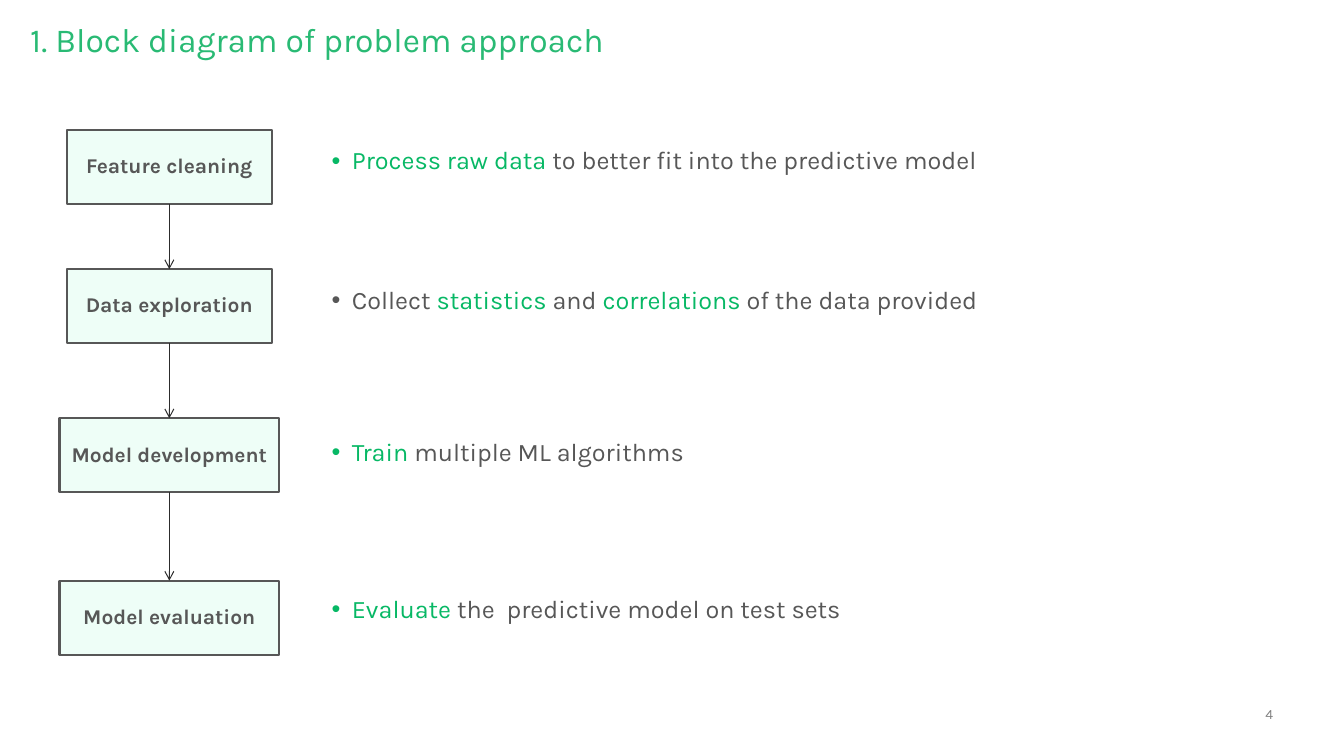
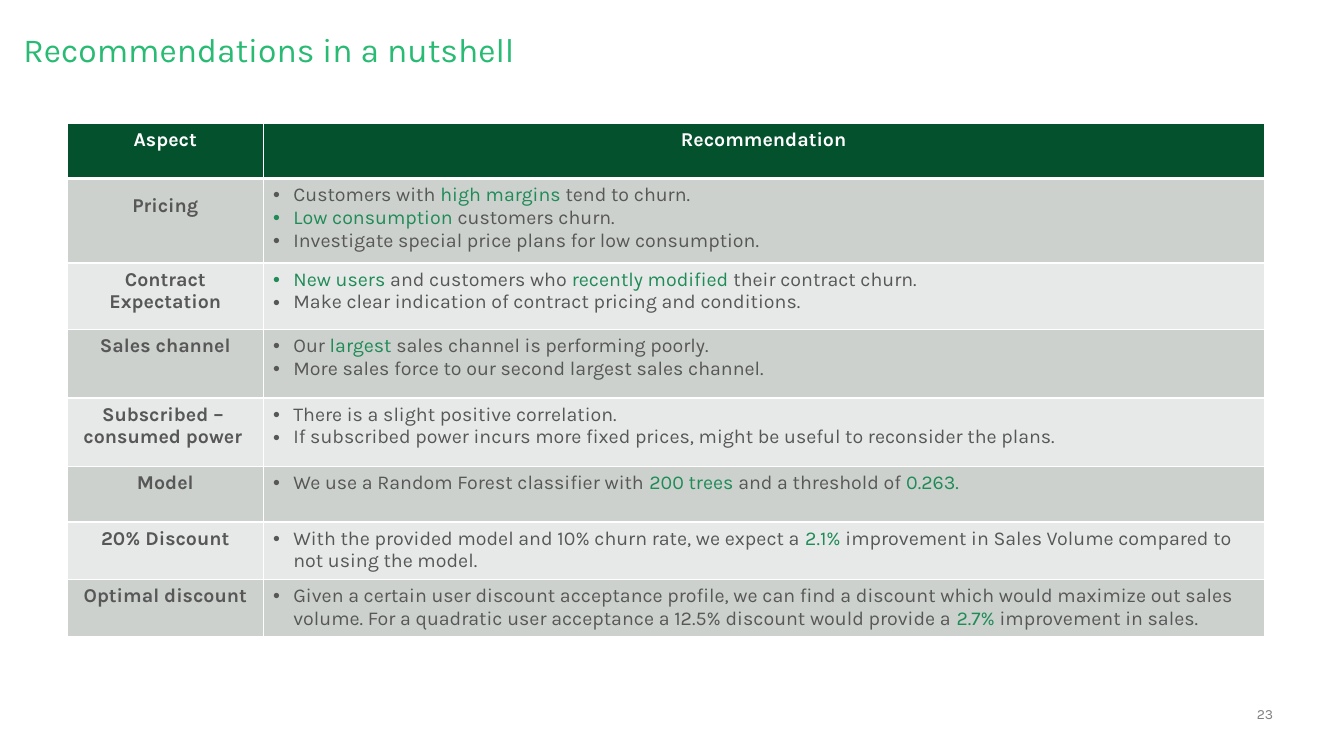
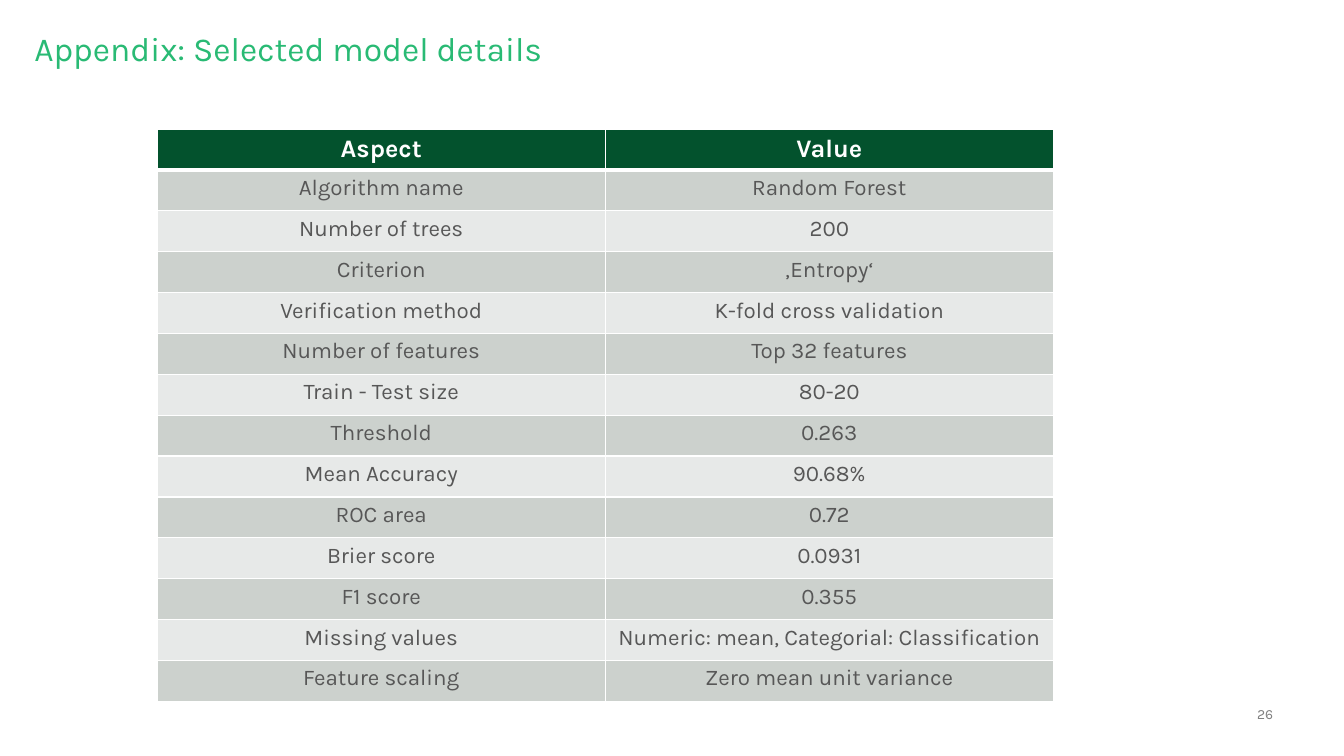
from dataclasses import dataclass
from typing import NamedTuple

from lxml import etree
from pptx import Presentation, util as u
from pptx.dml.color import RGBColor
from pptx.enum import shapes as es, text as et
from pptx.oxml.ns import qn

WIDE, HIGH = u.Inches(13.333), u.Inches(7.5)
LEFT, MID, RIGHT = et.PP_ALIGN.LEFT, et.PP_ALIGN.CENTER, et.PP_ALIGN.RIGHT


def col(share: float) -> int:
    return round(WIDE * share / 100)


def row(share: float) -> int:
    return round(HIGH * share / 100)


@dataclass(frozen=True)
class Theme:
    font: str = "Karla"
    title: str = "29BA74"
    body: str = "575757"
    lime: str = "07B865"
    leaf: str = "1F8B57"
    mint: str = "32F89B"
    pine: str = "03522D"
    white: str = "FFFFFF"
    line: str = "2C2C2C"
    page: str = "808080"
    bands: tuple[str, str] = ("CCD1CD", "E7E9E8")
    head_pt: float = 24
    list_pt: float = 18
    box_pt: float = 15
    page_pt: float = 10


T = Theme()


class Area(NamedTuple):
    x: float
    y: float
    w: float
    h: float

    def spot(self) -> tuple[int, int, int, int]:
        return col(self.x), row(self.y), col(self.w), row(self.h)


class Style(NamedTuple):
    size: float
    ink: str = T.body
    mark: str = T.lime
    bold: bool = False
    align: et.PP_ALIGN = LEFT
    lead: float = 1.0
    after: float = 0
    dot: float = 0


class Step(NamedTuple):
    name: str
    note: str
    top: float
    width: float
    text_top: float


class Grid(NamedTuple):
    x: float
    y: float
    cols: list[float]
    rows: list[float]
    cells: list[tuple]
    head: Style
    keys: Style
    facts: Style


HEAD = Style(T.head_pt, T.title, lead=0.9)
PAGE = Style(T.page_pt, T.page, align=RIGHT)
BOX = Style(T.box_pt, bold=True, align=MID, lead=0.9, after=10)
NOTE = Style(T.list_pt, lead=0.9, after=6, dot=1.5)


def node(root, tag: str, **attrs: str):
    return etree.SubElement(root, qn(f"a:{tag}"), attrs)


def tint(ink: str) -> RGBColor:
    return RGBColor.from_string(ink)


def write(frame, lines: list[str], style: Style) -> None:
    for i, line in enumerate(lines):
        para = frame.paragraphs[0] if i == 0 else frame.add_paragraph()
        para.alignment, para.line_spacing = style.align, style.lead
        para.space_before, para.space_after = u.Pt(0), u.Pt(style.after)
        if style.dot:
            props = para._p.get_or_add_pPr()
            props.set("marL", str(col(style.dot)))
            props.set("indent", str(-col(style.dot)))
            node(props, "buFont", typeface="Arial")
            node(props, "buChar", char="•")
        for j, span in enumerate(line.split("*")):
            for k, part in enumerate(span.split("\n")):
                if k:
                    para.add_line_break()
                if part:
                    run = para.add_run()
                    run.text = part
                    font = run.font
                    font.name, font.size = T.font, u.Pt(style.size)
                    font.bold = style.bold
                    font.color.rgb = tint(style.mark if j % 2 else style.ink)


def fit(shape, area: Area, line: str, style: Style,
        hold=et.MSO_ANCHOR.TOP) -> None:
    shape.left, shape.top, shape.width, shape.height = area.spot()
    frame = shape.text_frame
    frame.margin_left = frame.margin_right = 0
    frame.margin_top = frame.margin_bottom = 0
    frame.word_wrap, frame.vertical_anchor = True, hold
    frame.auto_size = et.MSO_AUTO_SIZE.SHAPE_TO_FIT_TEXT
    write(frame, [line], style)


def start(deck, plan: str, title: str, x: float, y: float, page: int):
    slide = deck.slides.add_slide(deck.slide_layouts.get_by_name(plan))
    fit(slide.shapes.title, Area(x, y, 89.7, 4.8), title, HEAD)
    area = Area(91.58, 93.33, 3.15, 2.27)
    fit(slide.shapes.add_textbox(*area.spot()), area, str(page), PAGE,
        et.MSO_ANCHOR.BOTTOM)
    return slide


def block(slide, step: Step):
    area = Area(12.6 - step.width / 2, step.top, step.width, 9.8)
    box = slide.shapes.add_shape(es.MSO_SHAPE.RECTANGLE, *area.spot())
    box.shadow.inherit = False
    box.fill.solid()
    box.fill.fore_color.rgb = tint(T.mint)
    node(box._element.spPr.find(f".//{qn('a:srgbClr')}"), "alpha", val="8000")
    box.line.color.rgb, box.line.width = tint(T.body), u.Pt(1.5)
    box.text_frame.word_wrap = True
    box.text_frame.vertical_anchor = et.MSO_ANCHOR.MIDDLE
    write(box.text_frame, [step.name], BOX)
    return box


def link(slide, above, below) -> None:
    arrow = slide.shapes.add_connector(es.MSO_CONNECTOR.STRAIGHT, 0, 0, 0, 0)
    arrow.begin_connect(above, 2)
    arrow.end_connect(below, 0)
    arrow.line.color.rgb, arrow.line.width = tint(T.line), u.Pt(0.75)
    node(arrow.line._get_or_add_ln(), "tailEnd", type="arrow")
    node(arrow._element.spPr, "effectLst")


def flow(slide, steps: list[Step]) -> None:
    boxes = [block(slide, step) for step in steps]
    for above, below in zip(boxes, boxes[1:]):
        link(slide, above, below)
    slots = [p for p in slide.placeholders if p.placeholder_format.idx]
    for slot, step in zip(slots, steps):
        fit(slot, Area(24.68, step.text_top, 55.58, 3.6), step.note, NOTE)


def paint(cell, fill: str, top: float, base: float) -> None:
    props = cell._tc.get_or_add_tcPr()
    for side, width in zip("LRTB", (1, 1, top, base)):
        edge = node(props, f"ln{side}", w=str(u.Pt(width)))
        node(node(edge, "solidFill"), "srgbClr", val=T.white)
    cell.fill.solid()
    cell.fill.fore_color.rgb = tint(fill)


def chart(slide, grid: Grid) -> None:
    area = Area(grid.x, grid.y, sum(grid.cols), sum(grid.rows))
    table = slide.shapes.add_table(
        len(grid.rows), len(grid.cols), *area.spot()).table
    for track, share in zip(table.columns, grid.cols):
        track.width = col(share)
    for track, share in zip(table.rows, grid.rows):
        track.height = row(share)
    for r, entry in enumerate(grid.cells):
        for c, text in enumerate(entry):
            cell = table.cell(r, c)
            paint(cell, T.bands[(r - 1) % 2] if r else T.pine,
                  3 if r == 1 else 1, 1 if r else 3)
            style = (grid.keys, grid.facts)[c] if r else grid.head
            if text == "Pricing":
                style = style._replace(lead=1.5, after=6)
            write(cell.text_frame,
                  [text] if isinstance(text, str) else text, style)


STEPS = [
    Step("Feature cleaning",
         "*Process raw data *to better fit into the predictive model",
         17.2, 15.23, 19.6),
    Step("Data exploration",
         "Collect *statistics* and *correlations* of the data provided",
         35.6, 15.23, 38),
    Step("Model development", "*Train* multiple ML algorithms",
         55.33, 16.35, 58.13),
    Step("Model evaluation",
         "*Evaluate* the  predictive model on test sets",
         76.8, 16.35, 78.93),
]

ADVICE = Grid(
    5.03, 16.27, [14.55, 74.48],
    [7.33, 11.2, 8.8, 9.07, 9.07, 7.33, 7.33, 7.33],
    [
        ("Aspect", "Recommendation"),
        ("Pricing", [
            "Customers with *high margins *tend to churn.",
            "*Low consumption *customers churn.",
            "Investigate special price plans for low consumption."]),
        ("Contract Expectation", [
            "*New users *and customers who *recently modified *"
            "their contract churn.",
            "Make clear indication of contract pricing and conditions."]),
        ("Sales channel", [
            "Our *largest* sales channel is performing poorly.",
            "More sales force to our second largest sales channel."]),
        ("Subscribed – \nconsumed power ", [
            "There is a slight positive correlation.",
            "If subscribed power incurs more fixed prices, might be useful "
            "to reconsider the plans."]),
        ("Model",
         "We use a Random Forest classifier with *200 trees *"
         "and a threshold of *0.263.*"),
        ("20% Discount",
         "With the provided model and 10% churn rate, we expect a *2.1% *"
         "improvement in Sales Volume compared to not using the model."),
        ("Optimal discount",
         "Given a certain user discount acceptance profile, we can find a "
         "discount which would maximize out sales volume. For a quadratic "
         "user acceptance a 12.5% discount would provide a *2.7% *"
         "improvement in sales."),
    ],
    Style(14, T.white, bold=True, align=MID),
    Style(14, bold=True, align=MID),
    Style(14, mark=T.leaf, dot=1.5),
)

FACTS = [
    ("Aspect", "Value"),
    ("Algorithm name", "Random Forest"),
    ("Number of trees", "200"),
    ("Criterion", "‚Entropy‘"),
    ("Verification method", "K-fold cross validation"),
    ("Number of features", "Top 32 features"),
    ("Train - Test size", "80-20"),
    ("Threshold", "0.263"),
    ("Mean Accuracy", "90.68%"),
    ("ROC area", "0.72"),
    ("Brier score", "0.0931"),
    ("F1 score", "0.355"),
    ("Missing values", "Numeric: mean, Categorial: Classification"),
    ("Feature scaling", "Zero mean unit variance"),
]
PLAIN = Style(16, align=MID)
MODEL = Grid(11.7, 17.07, [33.34] * 2, [5.41] * len(FACTS), FACTS,
             Style(18, T.white, bold=True, align=MID), PLAIN, PLAIN)


def main() -> None:
    deck = Presentation()
    deck.slide_width, deck.slide_height = WIDE, HIGH
    flow(start(deck, "Comparison", "1. Block diagram of problem approach",
               2.25, 3.07, 4), STEPS)
    chart(start(deck, "Title Only", "Recommendations in a nutshell",
                1.73, 4.4, 23), ADVICE)
    chart(start(deck, "Title Only", "Appendix: Selected model details",
                2.55, 4.27, 26), MODEL)
    deck.save("out.pptx")


main()
